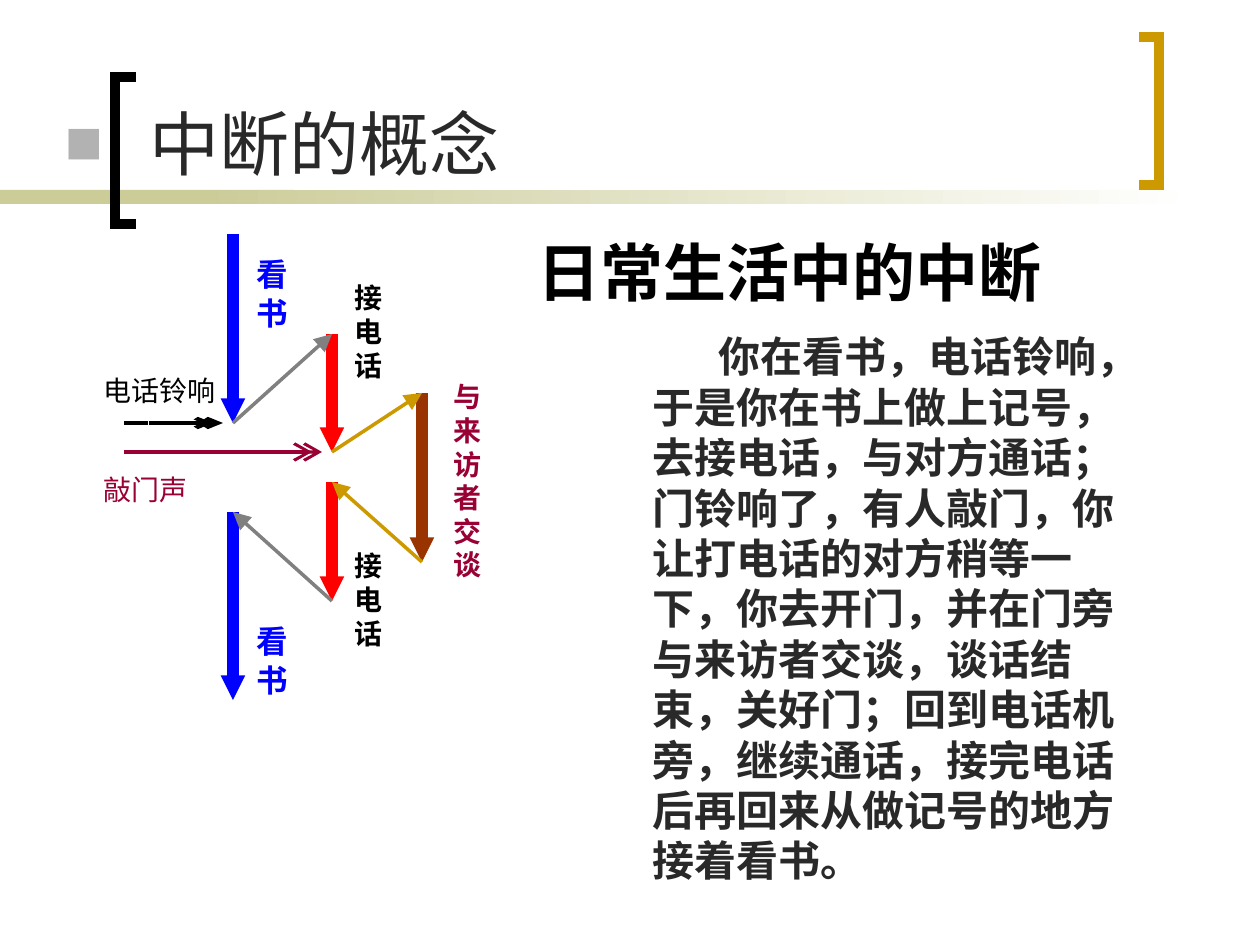
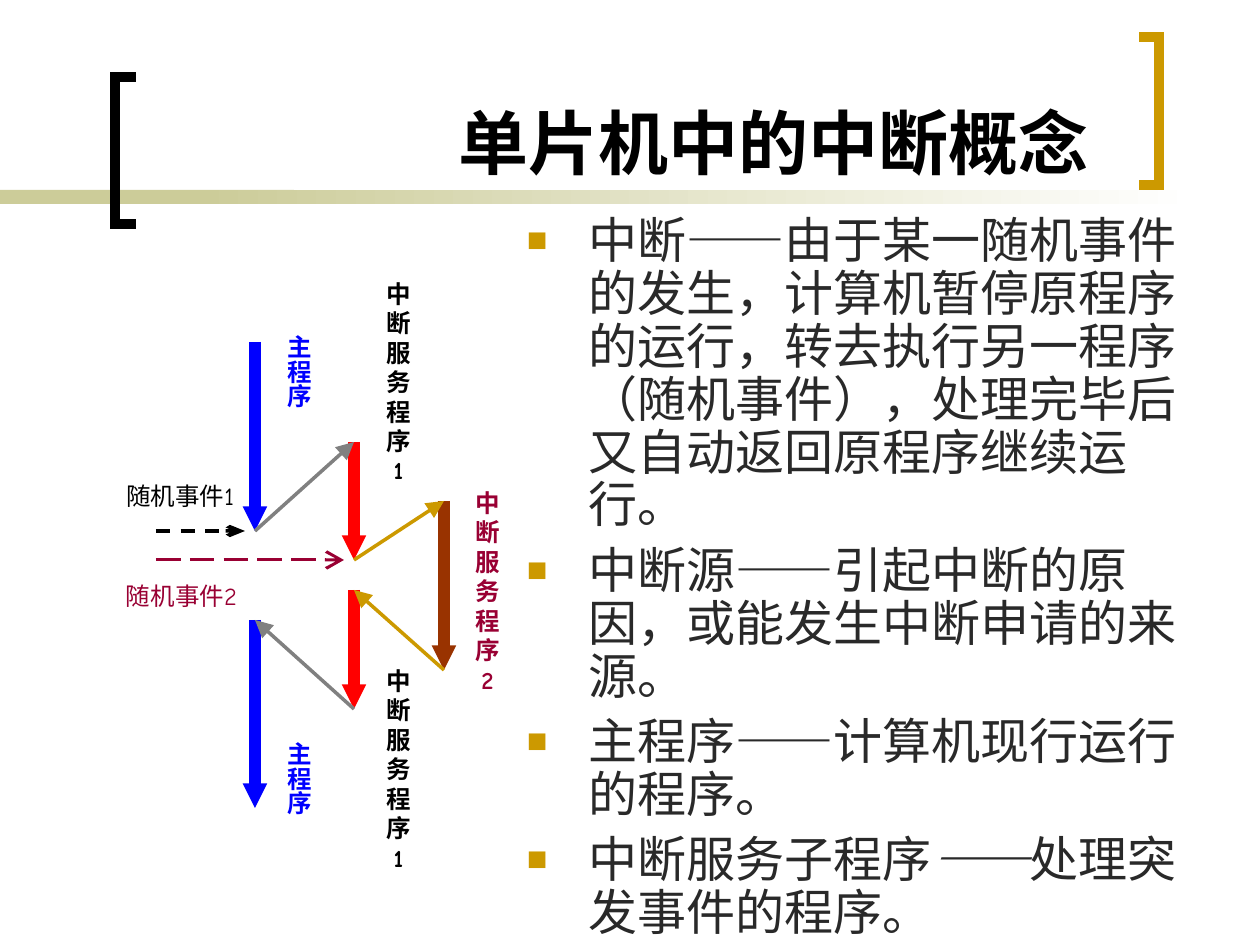
import pptx
import pptx.util
import pptx.dml.color
import pptx.enum.shapes
import pptx.enum.text
import pptx.oxml.ns
import lxml.etree

PX = 914400 / 126
BLACK, INK, GOLD, SAND = "000000", "292929", "CC9900", "CCCC99"
BLUE, RED, BROWN, GREY, WINE = "0000FF", "FF0000", "993300", "808080", "990033"
HEADING, LABEL, PROSE = "Arial", "Comic Neue", "Times New Roman"

BRACKETS = [
    (BLACK, [(136, 224), (115, 224), (115, 77), (136, 77)]),
    (GOLD, [(1139, 37), (1159, 37), (1159, 185), (1139, 185)]),
]

MAIN, CALL, VISIT = 0, 99, 189
RUNS = [
    (MAIN, 0, 189, BLUE), (MAIN, 278, 466, BLUE),
    (CALL, 100, 218, RED), (CALL, 248, 367, RED),
    (VISIT, 159, 328, BROWN),
]
JUMPS = [
    (MAIN, 189, CALL, 100, GREY), (CALL, 367, MAIN, 278, GREY),
    (CALL, 218, VISIT, 159, GOLD), (VISIT, 328, CALL, 248, GOLD),
]
REQUESTS = {
    "first": dict(y=189, color=BLACK, weight=2, dash="dash", head_w="med"),
    "second": dict(y=218, color=WINE, weight=1.75, dash="lgDash"),
}

DAILY = dict(
    origin=(233, 234), size=16, before=10, stack_size=18, stack_before=11.2,
    requests=[("first", -109, -20), ("first", -99, -10),
              ("second", -109, 79), ("second", -89, 89)],
    stacks=[("看 书", 233, 246, 63, 100), ("看 书", 233, 613, 63, 100)],
    columns=[("接电话", 342, 275, 113, BLACK), ("接电话", 342, 543, 113, BLACK),
             ("与来访者交谈", 441, 374, 214, WINE)],
    events=[("电话铃响", 104, 374, 113, 34, BLACK), ("敲门声", 104, 473, 113, 34, WINE)],
)
CHIP = dict(
    origin=(255, 342), size=14, before=8.8, stack_size=14, stack_before=8.8,
    requests=[("first", -99, -10), ("second", -99, 89)],
    stacks=[("主程序", 266, 322, 54, 100), ("主程序", 266, 729, 54, 100)],
    columns=[("中断服务程序1", 374, 273, 219, BLACK), ("中断服务程序1", 374, 660, 219, BLACK),
             ("中断服务程序2", 463, 482, 219, WINE)],
    events=[("随机事件1", 126, 481, 120, 29, BLACK), ("随机事件2", 126, 581, 113, 59, WINE)],
)

STORY = ("你在看书，电话铃响，于是你在书上做上记号，去接电话，与对方通话；门铃响了，有人敲门，"
         "你让打电话的对方稍等一下，你去开门，并在门旁与来访者交谈，谈话结束，关好门；"
         "回到电话机旁，继续通话，接完电话后再回来从做记号的地方接着看书。")
TERMS = [
    ["中断——由于某一随机事件的发生，计算机暂停原程序的运行，转去执行另一程序（随机事件），"
     "处理完毕后又自动返回原程序继续运行。"],
    ["中断源——引起中断的原因，或能发生中断申请的来源。"],
    ["主程序——计算机现行运行的程序。"],
    ["中断服务子程序", ("——",), "处理突发事件的程序。"],
]


def emu(px):
    return round(px * PX)


def rgb(value):
    return pptx.dml.color.RGBColor.from_string(value)


def sub(parent, tag, **attrs):
    el = lxml.etree.SubElement(parent, pptx.oxml.ns.qn(tag))
    for key, value in attrs.items():
        el.set(key, str(value))
    return el


def set_bullet(pPr, color, percent):
    sub(sub(pPr, "a:buClr"), "a:srgbClr", val=color)
    sub(pPr, "a:buSzPct", val=percent * 1000)
    sub(pPr, "a:buFont", typeface=HEADING)
    sub(pPr, "a:buChar", char="■")


def add_text(s, box, paragraphs, size, color, font=LABEL, bold=False, before=0, spacing=None,
             align=None, anchor="TOP", insets=(13, 6), margin=0, indent=0, bullet=None,
             vertical=False):
    sp = s.shapes.add_textbox(*map(emu, box))
    tf = sp.text_frame
    tf.word_wrap = True
    tf.vertical_anchor = pptx.enum.text.MSO_ANCHOR[anchor]
    tf.margin_left = tf.margin_right = emu(insets[0])
    tf.margin_top = tf.margin_bottom = emu(insets[1])
    if vertical:
        tf._txBody.bodyPr.set("vert", "eaVert")
    if isinstance(paragraphs, str):
        paragraphs = [[paragraphs]]
    for i, pieces in enumerate(paragraphs):
        p = tf.paragraphs[0] if i == 0 else tf.add_paragraph()
        p.space_before = pptx.util.Pt(before)
        if spacing:
            p.line_spacing = spacing
        if align:
            p.alignment = pptx.enum.text.PP_ALIGN[align]
        pPr = p._p.get_or_add_pPr()
        pPr.set("marL", str(emu(margin)))
        pPr.set("indent", str(emu(indent)))
        pPr.set("hangingPunct", "0")
        if bullet:
            set_bullet(pPr, *bullet)
        for piece in pieces:
            stressed = isinstance(piece, tuple)
            r = p.add_run()
            r.text = piece[0] if stressed else piece
            r.font.size = pptx.util.Pt(size)
            r.font.name = font
            r.font.bold = bold or stressed
            r.font.italic = stressed
            r.font.color.rgb = rgb(color)


def add_arrow(s, x1, y1, x2, y2, color, weight, head="triangle", head_w="lg", head_len="lg",
              dash=None):
    ends = map(emu, (x1, y1, x2, y2))
    cx = s.shapes.add_connector(pptx.enum.shapes.MSO_CONNECTOR.STRAIGHT, *ends)
    cx.line.color.rgb = rgb(color)
    cx.line.width = pptx.util.Pt(weight)
    ln = cx.line._get_or_add_ln()
    if dash:
        sub(ln, "a:prstDash", val=dash)
    sub(ln, "a:tailEnd", type=head, w=head_w, len=head_len)
    sub(cx._element.spPr, "a:effectLst")


def add_band(s, left, width, fade=False):
    sp = s.shapes.add_shape(pptx.enum.shapes.MSO_SHAPE.RECTANGLE,
                            *map(emu, (left, 190, width, 14)))
    sp.shadow.inherit = False
    sp.line.fill.background()
    if fade:
        sp.fill.gradient()
        sp.fill.gradient_angle = 0
        for stop, color in zip(sp.fill.gradient_stops, (SAND, "FFFFFF")):
            stop.color.rgb = rgb(color)
    else:
        sp.fill.solid()
        sp.fill.fore_color.rgb = rgb(SAND)


def add_bracket(s, color, points):
    builder = s.shapes.build_freeform(*points[0], scale=PX)
    builder.add_line_segments(points[1:], close=False)
    sp = builder.convert_to_shape()
    sp.shadow.inherit = False
    sp.fill.background()
    sp.line.color.rgb = rgb(color)
    sp.line.width = pptx.util.Pt(6)
    sub(sp.line._get_or_add_ln(), "a:miter", lim=800000)


def add_slide(prs):
    s = prs.slides.add_slide(prs.slide_layouts[6])
    add_band(s, 0, 294)
    add_band(s, 199, 998, fade=True)
    for color, points in BRACKETS:
        add_bracket(s, color, points)
    return s


def add_flow(s, flow):
    ox, oy = flow["origin"]
    for x, top, bottom, color in RUNS:
        add_arrow(s, ox + x, oy + top, ox + x, oy + bottom, color, 7, head_w="sm", head_len="sm")
    for x1, y1, x2, y2, color in JUMPS:
        add_arrow(s, ox + x1, oy + y1, ox + x2, oy + y2, color, 2)
    for name, x1, x2 in flow["requests"]:
        look = dict(REQUESTS[name])
        y = oy + look.pop("y")
        add_arrow(s, ox + x1, y, ox + x2, y, head="arrow", **look)
    for text, x, y, w, h in flow["stacks"]:
        add_text(s, (x, y, w, h), text, flow["stack_size"], BLUE, bold=True,
                 before=flow["stack_before"], insets=(6, 13), vertical=True)
    for text, x, y, h, color in flow["columns"]:
        add_text(s, (x, y, 49, h), text, flow["size"], color, bold=True,
                 before=flow["before"], align="CENTER")
    for text, x, y, w, h, color in flow["events"]:
        add_text(s, (x, y, w, h), text, flow["size"], color, before=flow["before"],
                 insets=(0, 0))


def main():
    prs = pptx.Presentation()
    prs.slide_width, prs.slide_height = emu(1260), emu(945)

    s = add_slide(prs)
    add_text(s, (525, 231, 764, 81), "日常生活中的中断", 36, BLACK, HEADING, bold=True,
             anchor="MIDDLE")
    add_text(s, (640, 325, 514, 567), STORY, 24, INK, PROSE, bold=True, before=15, indent=66)
    add_flow(s, DAILY)
    add_text(s, (52, 94, 683, 97), "中断的概念", 40, INK, HEADING, before=10,
             margin=85, indent=-85, bullet=("B2B2B2", 90))

    s = add_slide(prs)
    add_text(s, (399, 74, 813, 116), "单片机中的中断概念", 40, BLACK, HEADING, bold=True,
             anchor="BOTTOM", margin=47)
    add_text(s, (514, 210, 717, 638), TERMS, 28, INK, HEADING, before=7, spacing=0.9,
             margin=62, indent=-62, bullet=(GOLD, 70))
    add_flow(s, CHIP)

    prs.save("out.pptx")


if __name__ == "__main__":
    main()
